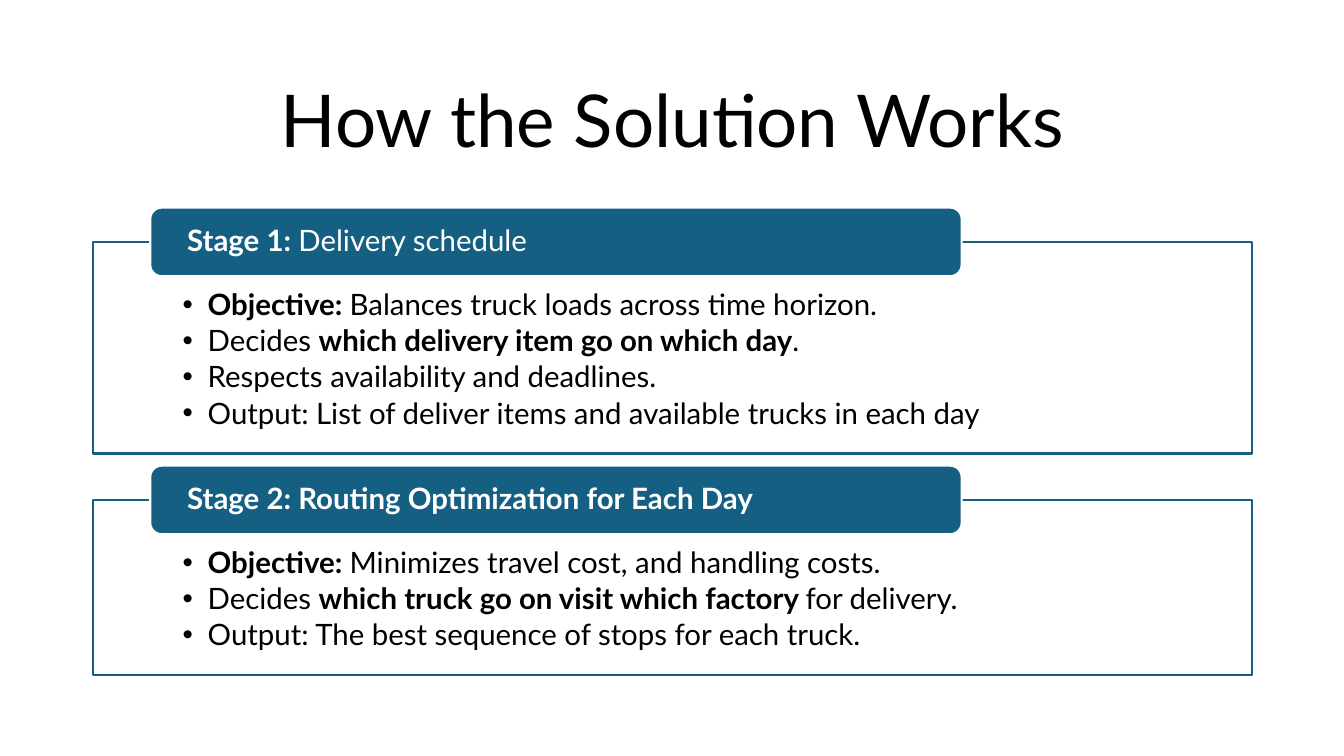
import dataclasses

import pptx
import pptx.dml.color
import pptx.enum.shapes
import pptx.enum.text
import pptx.util
from lxml import etree
from pptx.oxml.ns import qn

Pt = pptx.util.Pt
Kind = pptx.enum.shapes.MSO_SHAPE
Align = pptx.enum.text.PP_ALIGN
Anchor = pptx.enum.text.MSO_ANCHOR
Runs = list[tuple[str, bool]]

WIDE, HIGH = pptx.util.Inches(13.333), pptx.util.Inches(7.5)
HUES = {"teal": "156082", "white": "FFFFFF", "black": "000000"}

# Lengths are percent of the slide's width or height.
LEFT, SPAN = 6.9, 86.25
TAB_LEFT, TAB_SPAN, TAB_HIGH = 11.18, 60.38, 9.07
TAB_RISE = TAB_HIGH / 2


@dataclasses.dataclass
class Stage:
    top: float
    high: float
    head: Runs
    items: list[Runs]


STAGES = [
    Stage(32, 28, [("Stage 1: ", True), ("Delivery schedule", False)], [
        [("Objective: ", True), ("Balances truck loads across time horizon.", False)],
        [("Decides ", False), ("which delivery item go on which day", True), (".", False)],
        [("Respects availability and deadlines.", False)],
        [("Output: List of deliver items and available trucks in each day", False)],
    ]),
    Stage(66.13, 23.2, [("Stage 2: Routing Optimization for Each Day", True)], [
        [("Objective: ", True), ("Minimizes travel cost, and handling costs.", False)],
        [("Decides ", False), ("which truck go on visit which factory ", True),
         ("for delivery.", False)],
        [("Output: The best sequence of stops for each truck.", False)],
    ]),
]


def across(share: float) -> int:
    return round(WIDE * share / 100)


def down(share: float) -> int:
    return round(HIGH * share / 100)


def paint(hue: str) -> pptx.dml.color.RGBColor:
    return pptx.dml.color.RGBColor.from_string(HUES[hue])


def apply(target: object, form: dict) -> None:
    for name, value in form.items():
        setattr(target, name, value)


def bullet(para) -> None:
    props = para._p.get_or_add_pPr()
    props.set("marL", str(Pt(18)))
    props.set("indent", str(-Pt(18)))
    etree.SubElement(props, qn("a:buFont"), typeface="Arial")
    etree.SubElement(props, qn("a:buChar"), char="•")


def write(frame, lines: list[Runs], size: float, hue: str, form: dict,
          inset: tuple[float, float, float] = (0, 0, 0), dots: bool = False) -> None:
    """Fill a frame; inset holds the side, top and bottom shares."""
    side, top, base = inset
    apply(frame, {
        "word_wrap": True,
        "margin_left": across(side), "margin_right": across(side),
        "margin_top": down(top), "margin_bottom": down(base),
        "vertical_anchor": Anchor.TOP if dots else Anchor.MIDDLE,
    })
    for spot, line in enumerate(lines):
        para = frame.add_paragraph() if spot else frame.paragraphs[0]
        if dots:
            bullet(para)
        apply(para, {"line_spacing": 0.9, **form})
        for text, bold in line:
            run = para.add_run()
            run.text = text
            apply(run.font, {"name": "Lato", "size": Pt(size), "bold": bold})
            run.font.color.rgb = paint(hue)


def block(slide, kind: Kind, area: tuple[float, float, float, float],
          fill: str, edge: str):
    left, top, span, high = area
    shape = slide.shapes.add_shape(kind, across(left), down(top), across(span), down(high))
    shape.shadow.inherit = False
    shape.fill.solid()
    shape.fill.fore_color.rgb = paint(fill)
    shape.line.color.rgb = paint(edge)
    shape.line.width = Pt(1.5)
    return shape


def draw(slide, stage: Stage) -> None:
    panel = block(slide, Kind.RECTANGLE, (LEFT, stage.top, SPAN, stage.high),
                  "white", "teal")
    tint = panel._element.spPr.find(qn("a:solidFill"))[0]
    etree.SubElement(tint, qn("a:alpha"), val="90000")
    write(panel.text_frame, stage.items, 21, "black",
          {"alignment": Align.LEFT, "space_after": Pt(3.15)}, (6.68, 6.4, 2.13), True)
    tab = block(slide, Kind.ROUNDED_RECTANGLE,
                (TAB_LEFT, stage.top - TAB_RISE, TAB_SPAN, TAB_HIGH), "teal", "white")
    write(tab.text_frame, [stage.head], 21, "white", {"alignment": Align.LEFT}, (2.5, 0, 0))


def main() -> None:
    deck = pptx.Presentation()
    apply(deck, {"slide_width": WIDE, "slide_height": HIGH})
    slide = deck.slides.add_slide(deck.slide_layouts[6])
    title = slide.shapes.add_textbox(across(LEFT), down(8.13), across(SPAN), down(16.53))
    write(title.text_frame, [[("How the Solution Works", False)]], 52, "black",
          {"alignment": Align.CENTER})
    for stage in STAGES:
        draw(slide, stage)
    deck.save("out.pptx")


if __name__ == "__main__":
    main()
